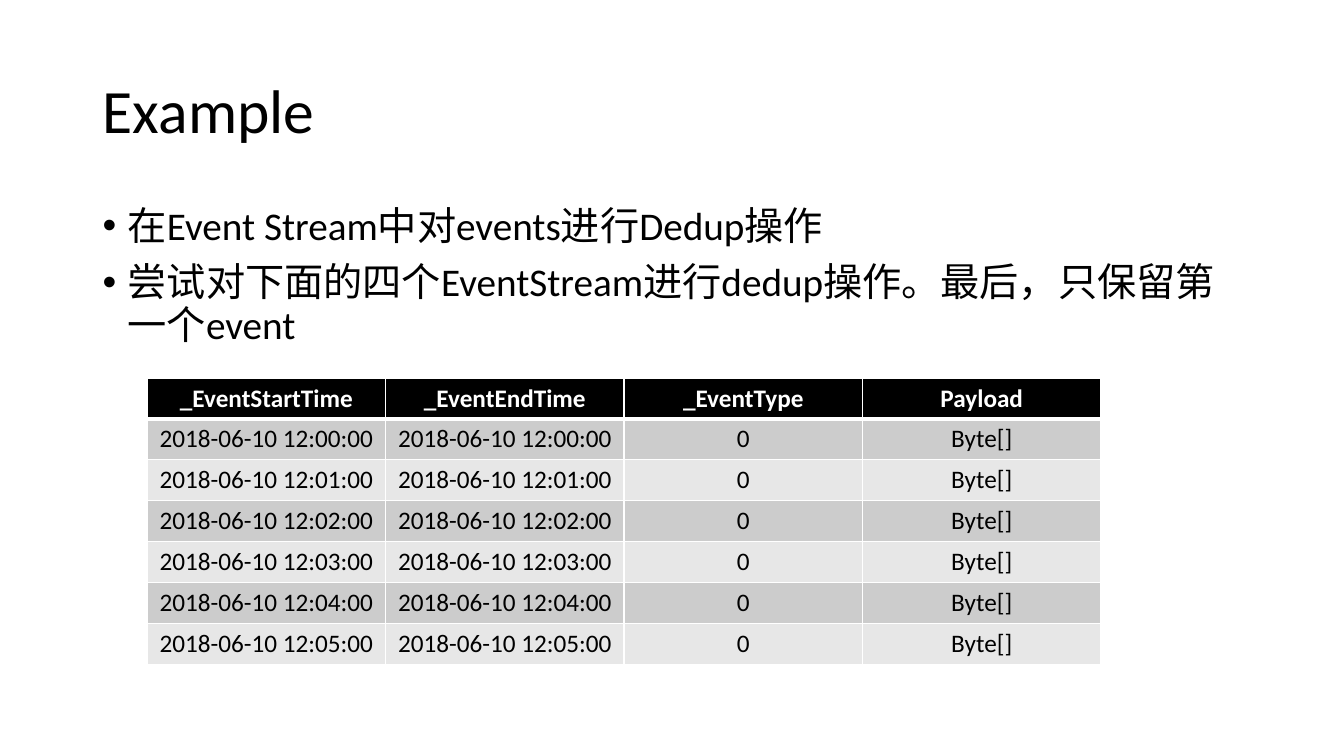
from lxml.etree import SubElement
from pptx import Presentation
from pptx.dml.color import RGBColor as RGB
from pptx.enum.text import MSO_ANCHOR as Anchor, MSO_AUTO_SIZE as Fit, PP_ALIGN as Align
from pptx.oxml.ns import qn
from pptx.util import Inches, Pt

FONT = "Calibri"
COLORS = {"ink": "000000", "paper": "FFFFFF", "odd": "CCCCCC", "even": "E7E7E7"}
POINTS = [
    "在Event Stream中对events进行Dedup操作",
    "尝试对下面的四个EventStream进行dedup操作。最后，只保留第一个event",
]
HEADS = ["_EventStartTime", "_EventEndTime", "_EventType", "Payload"]
TIMES = [f"2018-06-10 12:{minute:02}:00" for minute in range(6)]
EVENTS = [[time, time, "0", "Byte[]"] for time in TIMES]


def style(par, size, color="ink", bold=False, align=Align.LEFT):
    par.alignment = align
    font = par.font
    font.name, font.size, font.bold = FONT, Pt(size), bold
    font.color.rgb = RGB.from_string(COLORS[color])


def add_title(slide, text, left, top, width, height):
    title = slide.shapes.title
    title.left, title.top = Inches(left), Inches(top)
    title.width, title.height = Inches(width), Inches(height)
    frame = title.text_frame
    frame.text = text
    frame.auto_size = Fit.NONE
    frame.vertical_anchor = Anchor.MIDDLE
    par = frame.paragraphs[0]
    par.line_spacing = 0.9
    style(par, 44)


def add_points(slide, points, left, top, width, height):
    box = slide.shapes.add_textbox(
        Inches(left), Inches(top), Inches(width), Inches(height))
    frame = box.text_frame
    frame.word_wrap = True
    for i, text in enumerate(points):
        par = frame.add_paragraph() if i else frame.paragraphs[0]
        par.text = text
        par.line_spacing, par.space_before = 0.9, Pt(10)
        style(par, 28)
        props = par._p.get_or_add_pPr()
        props.set("marL", str(Inches(0.25)))
        props.set("indent", str(-Inches(0.25)))
        SubElement(props, qn("a:buFont"), typeface="Arial")
        SubElement(props, qn("a:buChar"), char="•")


def add_borders(cell, widths):
    """Draw the cell's left, right, top and bottom lines, in points."""
    props = cell._tc.get_or_add_tcPr()
    for side, width in zip("LRTB", widths):
        line = SubElement(props, qn(f"a:ln{side}"), w=str(Pt(width)))
        fill = SubElement(line, qn("a:solidFill"))
        SubElement(fill, qn("a:srgbClr"), val=COLORS["paper"])


def add_events(slide, heads, events, left, top, width, height):
    rows = [heads, *events]
    table = slide.shapes.add_table(
        len(rows), len(heads),
        Inches(left), Inches(top), Inches(width), Inches(height)).table
    for r, row in enumerate(rows):
        head = r == 0
        shade = "ink" if head else "odd" if r % 2 else "even"
        for c, text in enumerate(row):
            cell = table.cell(r, c)
            cell.text = text
            style(cell.text_frame.paragraphs[0], 18,
                  "paper" if head else "ink", head, Align.CENTER)
            add_borders(cell, (1, 1, 3 if r == 1 else 1, 3 if head else 1))
            cell.fill.solid()
            cell.fill.fore_color.rgb = RGB.from_string(COLORS[shade])


def main():
    deck = Presentation()
    deck.slide_width, deck.slide_height = Inches(13.33), Inches(7.5)
    slide = deck.slides.add_slide(deck.slide_layouts[5])
    add_title(slide, "Example", 0.92, 0.4, 11.5, 1.45)
    add_points(slide, POINTS, 0.92, 2, 11.5, 4.76)
    add_events(slide, HEADS, EVENTS, 1.46, 3.75, 9.46, 2.84)
    deck.save("out.pptx")


if __name__ == "__main__":
    main()
